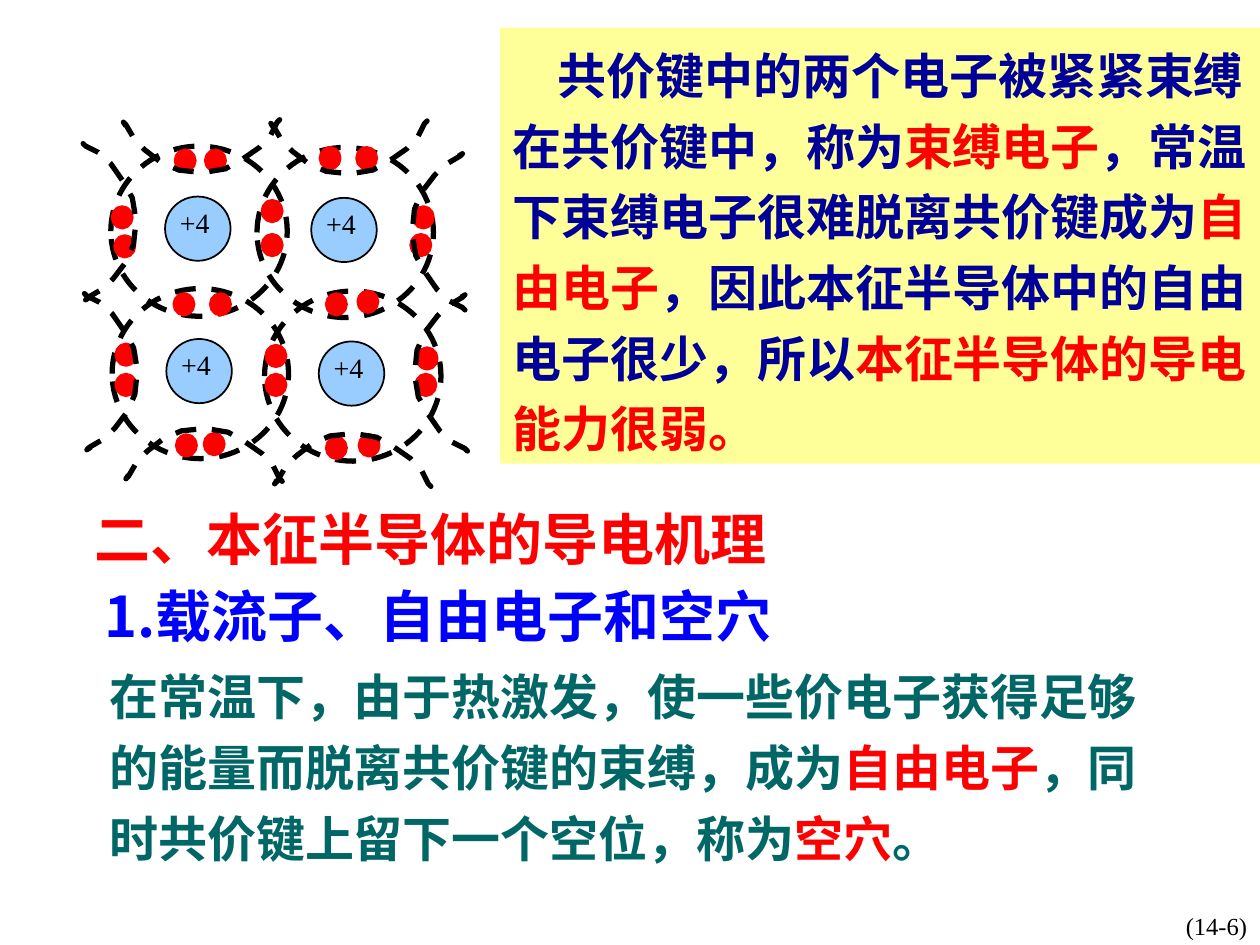
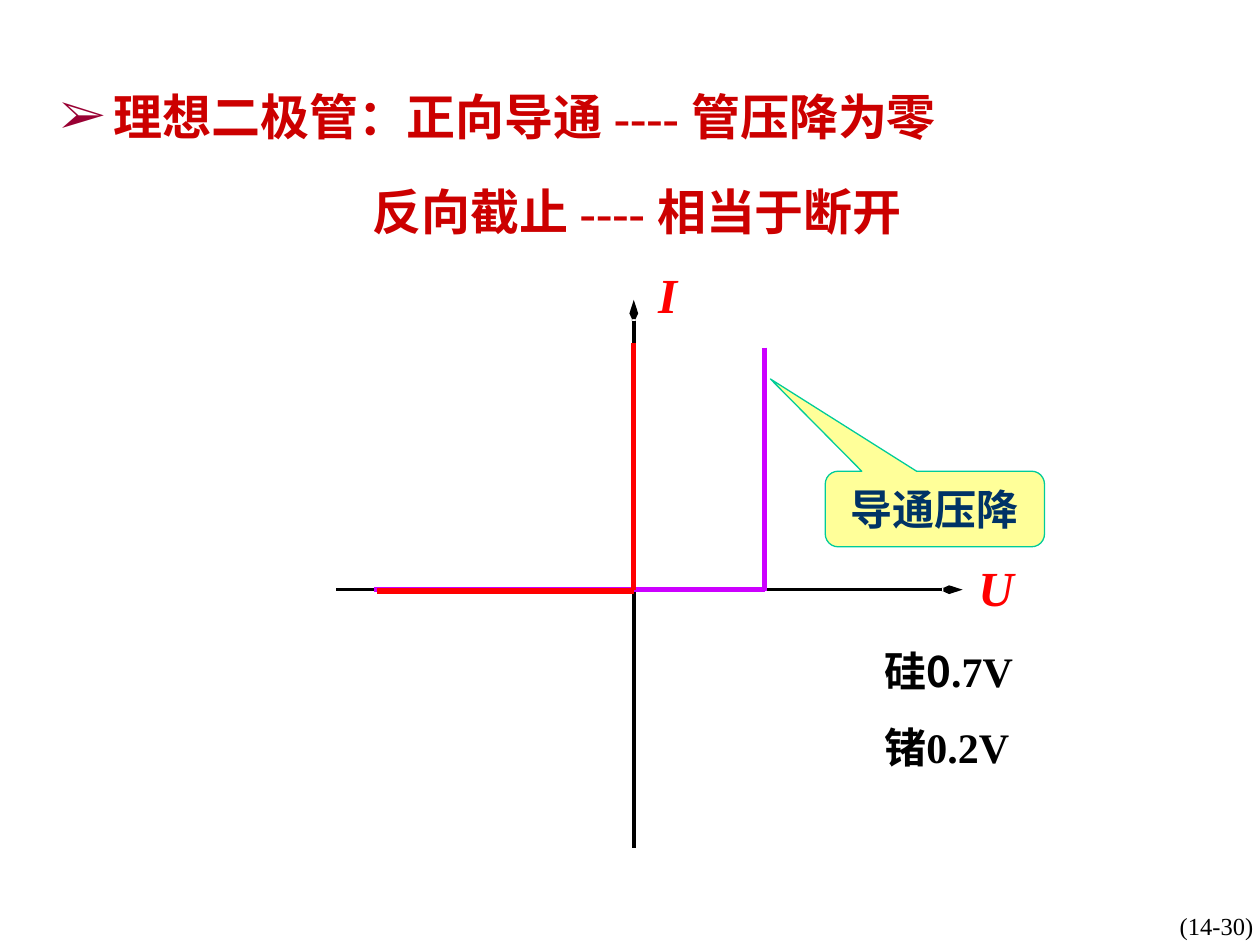
from pptx import Presentation
from pptx.dml.color import RGBColor
from pptx.enum.dml import MSO_LINE
from pptx.enum.shapes import MSO_CONNECTOR, MSO_SHAPE
from pptx.enum.text import MSO_ANCHOR, MSO_AUTO_SIZE, PP_ALIGN
from pptx.oxml.ns import qn
from pptx.util import Inches, Pt
from lxml.etree import SubElement

COLORS = {
    "black": "000000", "red": "FF0000", "navy": "000099", "blue": "0000FF",
    "teal": "006666", "crimson": "CC0000", "maroon": "990033", "ink": "003366",
    "purple": "CC00FF", "yellow": "FFFF99", "sky": "99CCFF", "green": "00CC99",
}
RGB = {name: RGBColor.from_string(value) for name, value in COLORS.items()}
SANS, SERIF = "Noto Sans CJK SC", "Times New Roman"


def write(shape, paragraphs, font, frame=None, para=None, gap=0):
    """Fill a shape with paragraphs of (text, colour[, typeface]) runs."""
    text_frame = shape.text_frame
    frame_format = {"word_wrap": True, "auto_size": MSO_AUTO_SIZE.NONE,
                    "vertical_anchor": MSO_ANCHOR.MIDDLE, **(frame or {})}
    for name, value in frame_format.items():
        setattr(text_frame, name, value)
    for index, runs in enumerate(paragraphs):
        paragraph = text_frame.add_paragraph() if index else text_frame.paragraphs[0]
        para_format = {"alignment": PP_ALIGN.LEFT, **(para or {}),
                       "space_before": Pt(gap if index else 0)}
        for name, value in para_format.items():
            setattr(paragraph, name, value)
        for text, color, *typeface in runs:
            run = paragraph.add_run()
            run.text = text
            run_format = {"name": SERIF, **font}
            if typeface:
                run_format["name"] = typeface[0]
            for name, value in run_format.items():
                setattr(run.font, name, value)
            run.font.color.rgb = RGB[color]
            SubElement(run.font._element, qn("a:ea")).set("typeface", SANS)


def style(shape, fill=None, line=None, width=1, dash=None):
    shape.shadow.inherit = False
    if fill:
        shape.fill.solid()
        shape.fill.fore_color.rgb = RGB[fill]
    else:
        shape.fill.background()
    if line:
        shape.line.color.rgb = RGB[line]
        shape.line.width = Pt(width)
        shape.line.dash_style = dash
    else:
        shape.line.fill.background()


prs = Presentation()
prs.slide_width, prs.slide_height = Inches(10), Inches(7.5)
title_only = prs.slide_layouts[5]
CENTERED = {"alignment": PP_ALIGN.CENTER}

bonds, diode = [prs.slides.add_slide(title_only) for _ in range(2)]
for slide, title_box, page_label in [
    (bonds, (0.36, 3.85, 6.12, 0.74), "(14-6)"),
    (diode, (0.38, 0.59, 7.71, 1.37), "(14-30)"),
]:
    title = slide.shapes.title
    title.left, title.top, title.width, title.height = map(Inches, title_box)
    footer = slide.shapes.add_textbox(*map(Inches, (8.69, 7.18, 1.93, 0.33)))
    write(footer, [[(page_label, "black")]], {"size": Pt(14)}, para=CENTERED)

# Slide 1: covalent bonds and carriers
write(bonds.shapes.title, [[("二、本征半导体的导电机理", "red")]],
      {"name": SANS, "size": Pt(32), "bold": True},
      para={"alignment": PP_ALIGN.CENTER, "line_spacing": 1.2})

bound_note = bonds.shapes.add_shape(MSO_SHAPE.RECTANGLE,
                                    *map(Inches, (3.97, 0.22, 6.04, 3.46)))
style(bound_note, "yellow")
write(bound_note, [[
    ("共价键中的两个电子被紧紧束缚在共价键中，称为", "navy"),
    ("束缚电子", "red"),
    ("，常温下束缚电子很难脱离共价键成为", "navy"),
    ("自由电子", "red"),
    ("，因此本征半导体中的自由电子很少，所以", "navy"),
    ("本征半导体的导电能力很弱。", "red"),
]], {"name": SANS, "size": Pt(28), "bold": True}, para={"line_spacing": 1.2})
bound_note.text_frame.paragraphs[0]._p.get_or_add_pPr().set("indent", str(Inches(0.36)))

atoms = [(1.31, 1.56), (2.47, 1.57), (1.32, 2.69), (2.53, 2.71)]
for x, y in atoms:
    nucleus = bonds.shapes.add_shape(MSO_SHAPE.OVAL, *map(Inches, (x, y, 0.52, 0.51)))
    style(nucleus, "sky", "black")
    shell = bonds.shapes.add_shape(
        MSO_SHAPE.OVAL, *map(Inches, (x - 0.43, y - 0.4, 1.4, 1.35)))
    style(shell, None, "black", 3, MSO_LINE.DASH)

electrons = [
    (1.40, 1.20), (1.64, 1.20), (2.55, 1.18), (2.84, 1.18),
    (0.90, 1.65), (0.92, 1.88), (2.09, 1.60), (2.09, 1.87), (3.29, 1.65), (3.27, 1.87),
    (1.39, 2.34), (1.68, 2.34), (2.60, 2.34), (2.85, 2.32),
    (0.93, 2.74), (0.93, 2.98), (2.12, 2.75), (2.12, 2.98), (3.32, 2.77), (3.31, 2.98),
    (1.41, 3.46), (1.63, 3.45), (2.60, 3.48), (2.86, 3.46),
]
for x, y in electrons:
    electron = bonds.shapes.add_shape(MSO_SHAPE.OVAL, *map(Inches, (x, y, 0.14, 0.15)))
    style(electron, "red", "red", 3)

# Points of an outer bond: distance along the edge, depth into the lattice
bond_profile = [
    (0.03, 0.05), (0.01, 0.02), (0.03, 0.04), (0.10, 0.16), (0.18, 0.24),
    (0.31, 0.34), (0.45, 0.40), (0.64, 0.42), (0.82, 0.39), (0.96, 0.31),
    (1.09, 0.22), (1.18, 0.12), (1.23, 0.02), (1.25, 0), (1.23, 0.02),
]
RIGHT, LEFT, DOWN, UP = (1, 0), (-1, 0), (0, 1), (0, -1)
outer_bonds = [  # start x, start y, direction along, direction of depth
    (3.69, 1.21, DOWN, LEFT), (3.71, 2.33, DOWN, LEFT),
    (0.97, 0.95, RIGHT, DOWN), (2.14, 0.96, RIGHT, DOWN),
    (0.99, 3.82, RIGHT, UP), (2.17, 3.86, RIGHT, UP),
    (0.66, 2.39, UP, RIGHT), (0.67, 3.58, UP, RIGHT),
]
for x, y, along, inward in outer_bonds:
    points = [(Inches(x + a * along[0] + d * inward[0]),
               Inches(y + a * along[1] + d * inward[1])) for a, d in bond_profile]
    builder = bonds.shapes.build_freeform(*points[0])
    builder.add_line_segments(points[1:], close=False)
    style(builder.convert_to_shape(), None, "black", 3, MSO_LINE.DASH)

for x, y in atoms:
    charge = bonds.shapes.add_textbox(*map(Inches, (x + 0.02, y + 0.02, 0.6, 0.37)))
    write(charge, [[("+4", "black")]], {"size": Pt(16)},
          {"vertical_anchor": MSO_ANCHOR.TOP})

subheading = bonds.shapes.add_textbox(*map(Inches, (0.73, 4.56, 7.1, 0.64)))
write(subheading, [[("1.载流子、自由电子和空穴", "blue")]],
      {"name": SANS, "size": Pt(32), "bold": True})

excitation = bonds.shapes.add_textbox(*map(Inches, (0.77, 5.15, 8.4, 1.78)))
write(excitation, [[
    ("在常温下，由于热激发，使一些价电子获得足够的能量而脱离共价键的束缚，成为", "teal"),
    ("自由电子", "red", SANS),
    ("，同时共价键上留下一个空位，称为", "teal"),
    ("空穴", "red", SANS),
    ("。", "teal"),
]], {"size": Pt(28), "bold": True}, para={"line_spacing": 1.2})

# Slide 2: ideal diode characteristic
ideal_title = diode.shapes.title
write(ideal_title, [[("理想二极管：正向导通 ---- 管压降为零", "crimson")],
                    [("反向截止 ---- 相当于断开", "crimson")]],
      {"size": Pt(28), "bold": True}, para={"line_spacing": 1.1}, gap=17.5)
forward, reverse = [p._p.get_or_add_pPr() for p in ideal_title.text_frame.paragraphs]
for properties, margin, indent in [(forward, 0.42, -0.42), (reverse, 2.48, 0)]:
    properties.set("marL", str(Inches(margin)))
    properties.set("indent", str(Inches(indent)))
bullet_color = SubElement(forward, qn("a:buClr"))
SubElement(bullet_color, qn("a:srgbClr")).set("val", COLORS["maroon"])
SubElement(forward, qn("a:buFont")).set("typeface", SERIF)
SubElement(forward, qn("a:buChar")).set("char", "➢")

curves = [  # start, end, colour, width, arrowhead at start
    ((5.03, 2.38), (5.03, 6.73), "black", 2, True),
    ((7.64, 4.68), (2.67, 4.68), "black", 2, True),
    ((6.07, 2.76), (6.07, 4.69), "purple", 3, False),
    ((6.07, 4.68), (2.97, 4.68), "purple", 3, False),
    ((5.03, 2.72), (5.03, 4.68), "red", 3, False),
    ((5.03, 4.69), (2.99, 4.69), "red", 3, False),
]
for start, end, color, width, arrow in curves:
    curve = diode.shapes.add_connector(MSO_CONNECTOR.STRAIGHT,
                                       *map(Inches, start + end))
    curve.line.color.rgb = RGB[color]
    curve.line.width = Pt(width)
    if arrow:
        head = SubElement(curve.line._get_or_add_ln(), qn("a:headEnd"))
        for name, value in {"type": "arrow", "w": "sm", "len": "lg"}.items():
            head.set(name, value)
    SubElement(curve._element.spPr, qn("a:effectLst"))

axis_names = {"U": (7.28, 4.37, 1.25, 0.57), "I": (5.08, 2.05, 0.44, 0.57)}
for name, box in axis_names.items():
    axis_name = diode.shapes.add_textbox(*map(Inches, box))
    write(axis_name, [[(name, "red")]],
          {"size": Pt(28), "bold": True, "italic": True}, para=CENTERED)

drop_callout = diode.shapes.add_shape(MSO_SHAPE.ROUNDED_RECTANGULAR_CALLOUT,
                                      *map(Inches, (6.55, 3.74, 1.74, 0.6)))
for index, value in enumerate((-0.75, -1.72, 0.17)):
    drop_callout.adjustments[index] = value
style(drop_callout, "yellow", "green", 0.75)
write(drop_callout, [[("导通压降", "ink")]], {"size": Pt(24), "bold": True},
      {"word_wrap": False}, CENTERED)

drop_values = diode.shapes.add_textbox(*map(Inches, (6.92, 5.07, 2, 1.11)))
write(drop_values, [[("硅0", "black", SANS), (".7V", "black")], [("锗0.2V", "black")]],
      {"size": Pt(24), "bold": True}, gap=15)

prs.save("out.pptx")
